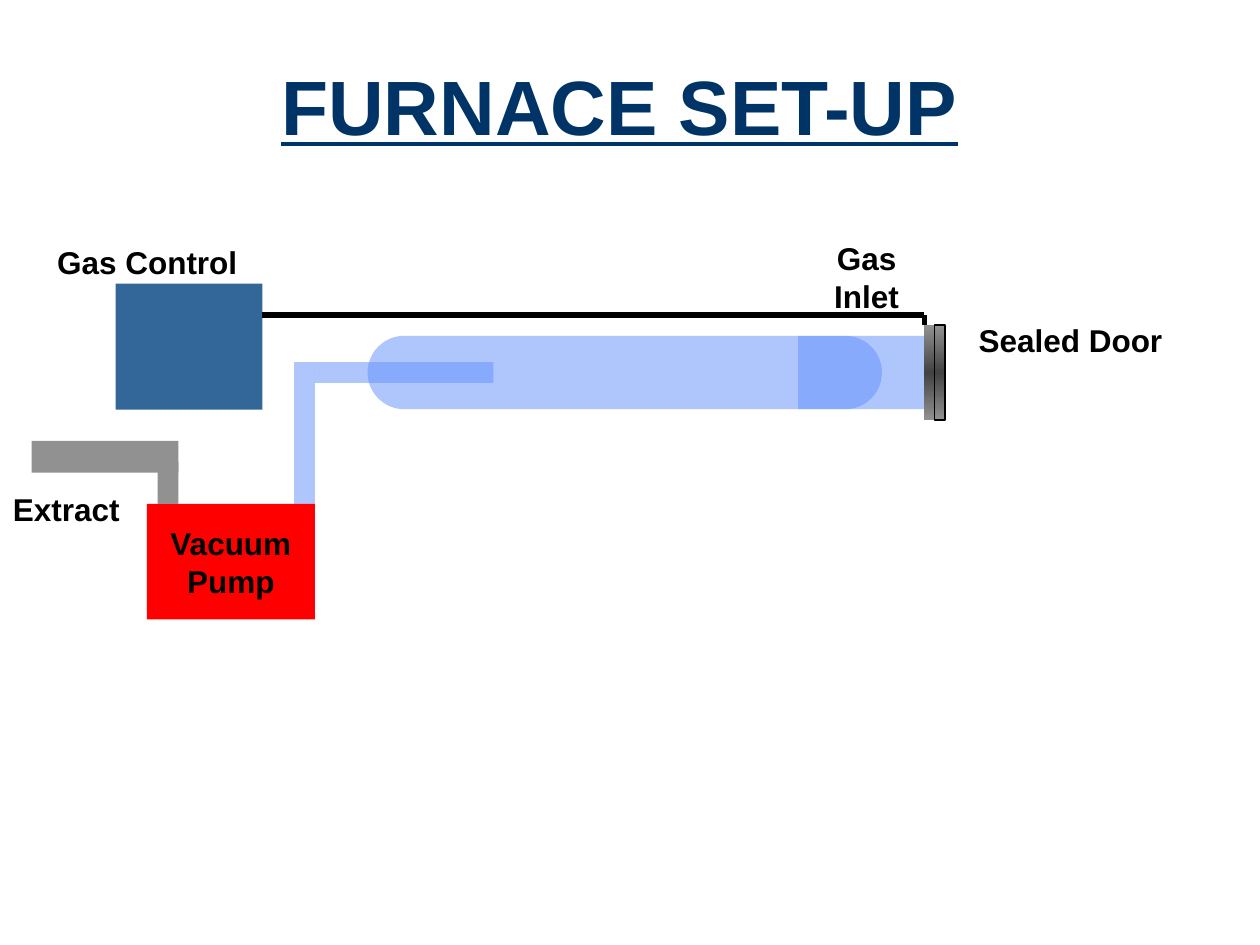
from copy import deepcopy

from lxml import etree
from pptx import Presentation
from pptx.dml.color import RGBColor
from pptx.enum import shapes, text
from pptx.oxml.ns import qn
from pptx.util import Cm, Pt

NAVY = RGBColor(0x00, 0x33, 0x66)
GLASS = RGBColor(0x61, 0x8F, 0xFD)
RED = RGBColor(0xFF, 0x00, 0x00)
STEEL = RGBColor(0x33, 0x66, 0x99)
GREY = RGBColor(0x91, 0x91, 0x91)
DARK = RGBColor(0x42, 0x42, 0x42)
BLACK = RGBColor(0x00, 0x00, 0x00)

RECT = shapes.MSO_SHAPE.RECTANGLE
ROUND = shapes.MSO_SHAPE.ROUNDED_RECTANGLE


def write(frame, words, size=18, color=BLACK, under=None, space=None, wrap=False):
    """Fill a text frame with bold centred lines."""
    frame.word_wrap = wrap
    frame.vertical_anchor = text.MSO_ANCHOR.MIDDLE
    frame.text = words
    for para in frame.paragraphs:
        para.alignment = text.PP_ALIGN.CENTER
        para.line_spacing = space
        for run in para.runs:
            font = run.font
            font.name, font.size, font.bold = "Arial", Pt(size), True
            font.underline = under
            font.color.rgb = color


def block(tree, box, color, kind=RECT, alpha=None):
    """Add a borderless filled shape; alpha is opacity in percent."""
    shape = tree.add_shape(kind, *map(Cm, box))
    shape.shadow.inherit = False
    shape.fill.solid()
    shape.fill.fore_color.rgb = color
    shape.line.fill.background()
    if alpha:
        tint = shape._element.spPr.find(qn("a:solidFill"))[0]
        etree.SubElement(tint, qn("a:alpha"), val=str(alpha * 1000))
    return shape


def glass(tree, box, kind=RECT):
    return block(tree, box, GLASS, kind, alpha=50)


def plate(tree, box):
    """Add a metal plate shaded grey, dark, grey."""
    shape = block(tree, box, GREY)
    fill = shape.fill
    fill.gradient()
    fill.gradient_angle = 90
    stops = shape._element.spPr.find(qn("a:gradFill")).find(qn("a:gsLst"))
    stops.insert(1, deepcopy(stops[0]))
    for stop, color, pos in zip(fill.gradient_stops, (GREY, DARK, GREY), (0, 0.5, 1)):
        stop.color.rgb = color
        stop.position = pos
    return shape


def pipe(tree, *ends):
    """Add a thick black line from x, y to x, y."""
    line = tree.add_connector(shapes.MSO_CONNECTOR.STRAIGHT, *map(Cm, ends))
    line.line.color.rgb = BLACK
    line.line.width = Pt(3)
    etree.SubElement(line._element.spPr, qn("a:effectLst"))


def label(tree, words, box):
    area = tree.add_textbox(*map(Cm, box))
    write(area.text_frame, words)
    area.text_frame.auto_size = text.MSO_AUTO_SIZE.SHAPE_TO_FIT_TEXT


def main():
    deck = Presentation()
    deck.slide_width, deck.slide_height = Cm(25.4), Cm(19.05)
    slide = deck.slides.add_slide(deck.slide_layouts[5])
    tree = slide.shapes

    # Title
    title = tree.title
    title.left, title.top, title.width, title.height = map(Cm, (0.64, 0.64, 23.7, 3.18))
    write(title.text_frame, "FURNACE SET-UP", size=44, color=NAVY,
          under=True, space=0.9, wrap=True)

    # Furnace tube
    tube = tree.add_group_shape().shapes
    glass(tube, (7.41, 6.77, 10.37, 1.48), ROUND).adjustments[0] = 0.5
    glass(tube, (16.09, 6.77, 2.54, 1.48))

    # Vacuum pipe and pump
    glass(tree, (6.35, 7.3, 3.6, 0.42))
    glass(tree, (5.93, 7.3, 0.42, 2.86))
    pump = block(tree, (2.96, 10.16, 3.39, 2.33), RED)
    write(pump.text_frame, "Vacuum\nPump")

    # Gas control and its line to the inlet
    block(tree, (2.33, 5.72, 2.96, 2.54), STEEL)
    pipe(tree, 5.29, 6.35, 18.63, 6.35)

    # Flange and sealed door
    plate(tree, (18.63, 6.56, 0.21, 1.91))
    door = plate(tree, (18.84, 6.56, 0.21, 1.91))
    door.line.color.rgb = BLACK
    door.line.width = Pt(1)
    pipe(tree, 18.63, 6.35, 18.63, 6.56)

    # Extract duct
    block(tree, (3.18, 9.31, 0.42, 0.85), GREY)
    block(tree, (0.64, 8.89, 2.96, 0.64), GREY)

    # Labels
    for words, box in (
        ("Gas Control", (0.9, 4.77, 4.14, 1.02)),
        ("Sealed Door", (19.47, 6.35, 4.22, 1.02)),
        ("Extract", (0, 9.74, 2.67, 1.02)),
        ("Gas Inlet", (15.88, 5.08, 3.18, 1.02)),
    ):
        label(tree, words, box)

    deck.save("out.pptx")


if __name__ == "__main__":
    main()
